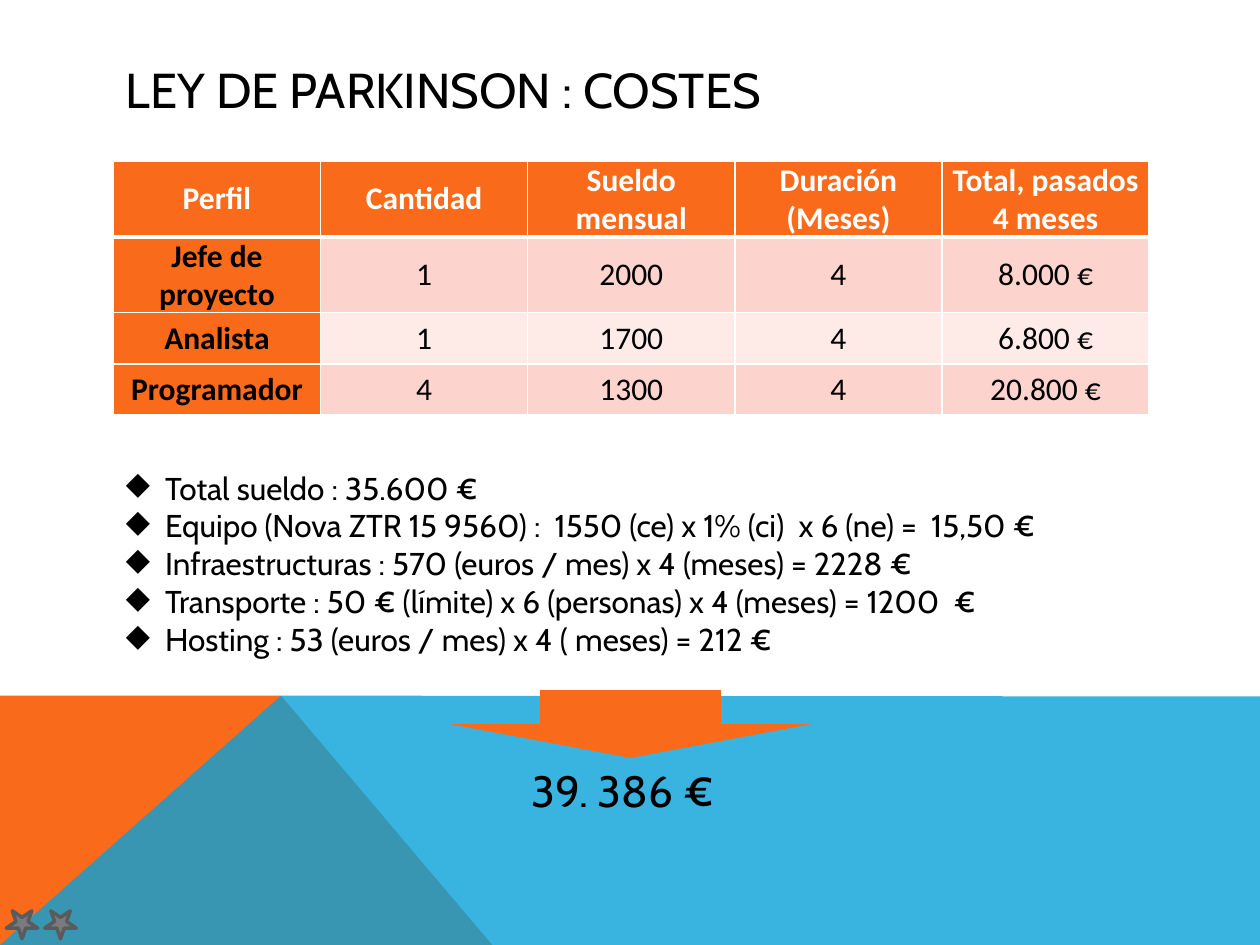
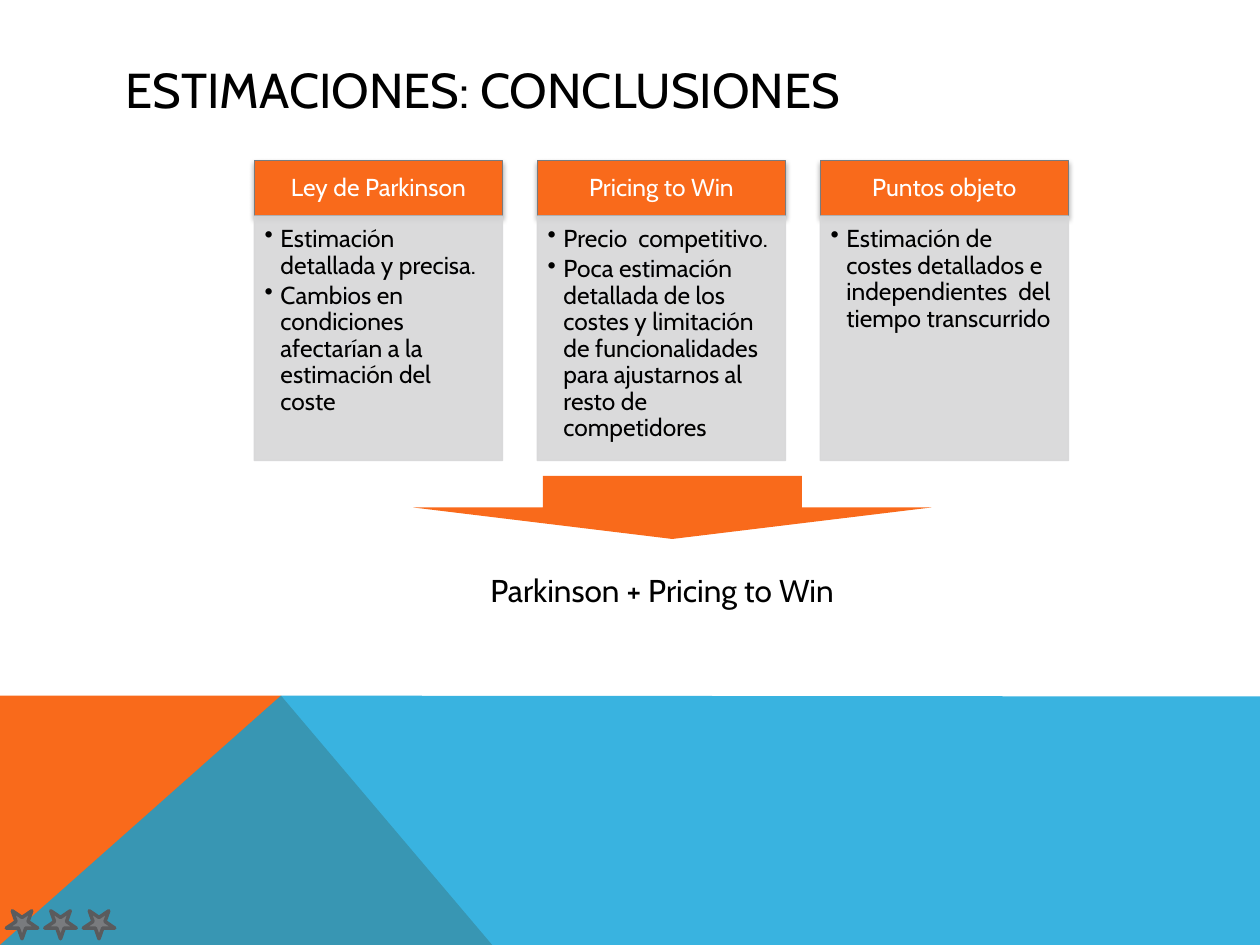
from lxml.etree import SubElement
from pptx import Presentation
from pptx.dml.color import RGBColor
from pptx.enum.shapes import MSO_SHAPE
from pptx.enum.text import MSO_ANCHOR, PP_ALIGN
from pptx.oxml.ns import qn
from pptx.util import Pt

ORANGE = RGBColor(0xF9, 0x6A, 0x1B)
BLUE = RGBColor(0x08, 0xA1, 0xD9)
BLACK = RGBColor(0, 0, 0)
WHITE = RGBColor(0xFF, 0xFF, 0xFF)
GRAY = RGBColor(0x79, 0x7B, 0x7E)
DARK_GRAY = RGBColor(0x5A, 0x5B, 0x5D)
LIGHT_GRAY = RGBColor(0xD7, 0xD7, 0xD8)
PINK = RGBColor(0xFD, 0xD4, 0xCD)
PALE_PINK = RGBColor(0xFE, 0xEB, 0xE8)

TEXT_FONT = "Cabin"
TABLE_FONT = "Calibri"
SLIDE_WIDTH, SLIDE_HEIGHT = 720, 540
CONTENT_LEFT, CONTENT_WIDTH = 64.8, 592
BAND_TOP, BAND_PEAK = 397.5, 160.6

COST_ROWS = [
    ["Perfil", "Cantidad", "Sueldo mensual", "Duración (Meses)", "Total, pasados 4 meses"],
    ["Jefe de proyecto", "1", "2000", "4", "8.000 €"],
    ["Analista", "1", "1700", "4", "6.800 €"],
    ["Programador", "4", "1300", "4", "20.800 €"],
]
COST_ITEMS = [
    "Total sueldo : 35.600 €",
    "Equipo (Nova ZTR 15 9560) :  1550 (ce) x 1% (ci)  x 6 (ne) =  15,50 €",
    "Infraestructuras : 570 (euros / mes) x 4 (meses) = 2228 €",
    "Transporte : 50 € (límite) x 6 (personas) x 4 (meses) = 1200  €",
    "Hosting : 53 (euros / mes) x 4 ( meses) = 212 €",
]
CONCLUSIONS = [
    ("Ley de Parkinson", [
        "Estimación detallada y precisa.",
        "Cambios en condiciones afectarían a la estimación del coste",
    ]),
    ("Pricing to Win", [
        "Precio  competitivo.",
        "Poca estimación detallada de los costes y limitación de funcionalidades "
        "para ajustarnos al resto de competidores",
    ]),
    ("Puntos objeto", [
        "Estimación de costes detallados e independientes  del tiempo transcurrido",
    ]),
]


def style_shape(shape, fill, line=None, line_width=0.75, opacity=100):
    """Apply fill, outline and opacity, without a shadow."""
    shape.shadow.inherit = False
    shape.fill.solid()
    shape.fill.fore_color.rgb = fill
    if line is None:
        shape.line.fill.background()
    else:
        shape.line.color.rgb = line
        shape.line.width = Pt(line_width)
    if opacity < 100:
        for color in list(shape.element.spPr.iter(qn("a:srgbClr"))):
            SubElement(color, qn("a:alpha"), val=str(opacity * 1000))


def add_preset(slide, preset, left, top, width, height, fill, **style):
    shape = slide.shapes.add_shape(preset, Pt(left), Pt(top), Pt(width), Pt(height))
    style_shape(shape, fill, **style)
    return shape


def add_polygon(slide, points, fill, opacity=100):
    start, *others = [(Pt(x), Pt(y)) for x, y in points]
    builder = slide.shapes.build_freeform(*start)
    builder.add_line_segments(others, close=True)
    style_shape(builder.convert_to_shape(), fill, opacity=opacity)


def add_drop_shadow(shape):
    effects = shape.element.spPr.find(qn("a:effectLst"))
    shadow = SubElement(effects, qn("a:outerShdw"), blurRad=str(Pt(3.1)),
                        dist=str(Pt(1.8)), dir="5400000", rotWithShape="0")
    color = SubElement(shadow, qn("a:srgbClr"), val=str(BLACK))
    SubElement(color, qn("a:alpha"), val="35000")


def set_bullet(paragraph, character, indent):
    properties = paragraph._p.get_or_add_pPr()
    properties.set("marL", str(Pt(indent)))
    properties.set("indent", str(-Pt(indent)))
    SubElement(properties, qn("a:buChar"), char=character)


def write_text(frame, lines, size, color=BLACK, alignment=PP_ALIGN.LEFT,
               anchor=MSO_ANCHOR.TOP, font=TEXT_FONT, bold=False, bullet=None,
               indent=0, line_spacing=None, space_after=None):
    frame.vertical_anchor = anchor
    for number, line in enumerate(lines):
        paragraph = frame.add_paragraph() if number else frame.paragraphs[0]
        paragraph.text = line
        paragraph.alignment = alignment
        paragraph.line_spacing = line_spacing
        paragraph.space_after = space_after
        paragraph.font.name = font
        paragraph.font.size = Pt(size)
        paragraph.font.bold = bold
        paragraph.font.color.rgb = color
        if bullet:
            set_bullet(paragraph, bullet, indent)


def add_text(slide, left, top, width, height, lines, size, wrap=True, **style):
    box = slide.shapes.add_textbox(Pt(left), Pt(top), Pt(width), Pt(height))
    box.text_frame.word_wrap = wrap
    write_text(box.text_frame, lines, size, **style)


def set_margins(target, left, top, right, bottom):
    """Set the inner margins of a text frame or a table cell."""
    target.margin_left, target.margin_top = Pt(left), Pt(top)
    target.margin_right, target.margin_bottom = Pt(right), Pt(bottom)


def add_cell_border(cell, side, width):
    line = SubElement(cell._tc.get_or_add_tcPr(), qn(f"a:ln{side}"), w=str(Pt(width)))
    fill = SubElement(line, qn("a:solidFill"))
    SubElement(fill, qn("a:srgbClr"), val=str(WHITE))


def style_cell(cell, text, row, column):
    is_header = row == 0
    is_label = is_header or column == 0
    widths = {"L": 1, "R": 1, "T": 3 if row == 1 else 1, "B": 3 if is_header else 1}
    for side, width in widths.items():
        add_cell_border(cell, side, width)
    cell.fill.solid()
    cell.fill.fore_color.rgb = ORANGE if is_label else PINK if row % 2 else PALE_PINK
    set_margins(cell, 5, 0, 5, 0)
    write_text(cell.text_frame, [text], 18, WHITE if is_header else BLACK,
               PP_ALIGN.CENTER, font=TABLE_FONT, bold=is_label)
    cell.vertical_anchor = MSO_ANCHOR.MIDDLE


def add_cost_table(slide, rows):
    row_height = 29.2
    table = slide.shapes.add_table(
        len(rows), len(rows[0]), Pt(CONTENT_LEFT), Pt(92.2),
        Pt(CONTENT_WIDTH), Pt(row_height * len(rows))).table
    table.first_col = True
    table.horz_banding = False
    for row, texts in enumerate(rows):
        table.rows[row].height = Pt(row_height)
        for column, text in enumerate(texts):
            style_cell(table.cell(row, column), text, row, column)


def add_conclusion_column(slide, left, heading, points):
    width, top, heading_height = 141.8, 91.6, 31.9
    header = add_preset(slide, MSO_SHAPE.RECTANGLE, left, top, width, heading_height,
                        ORANGE, line=GRAY)
    add_drop_shadow(header)
    set_margins(header.text_frame, 7.9, 4.5, 7.9, 4.5)
    write_text(header.text_frame, [heading], 14, WHITE, PP_ALIGN.CENTER,
               MSO_ANCHOR.MIDDLE, line_spacing=0.9)
    body = add_preset(slide, MSO_SHAPE.RECTANGLE, left, top + heading_height, width, 139.7,
                      LIGHT_GRAY, line=LIGHT_GRAY, opacity=90)
    set_margins(body.text_frame, 5.9, 5.9, 7.9, 8.9)
    write_text(body.text_frame, points, 14, bullet="•", indent=9,
               line_spacing=0.9, space_after=Pt(2.1))


def add_down_arrow(slide, left, top, width, height):
    add_preset(slide, MSO_SHAPE.DOWN_ARROW, left, top, width, height, ORANGE)


def add_stars(slide, count):
    for number in range(count):
        star = add_preset(slide, MSO_SHAPE.STAR_5_POINT, 3.6 + 22 * number, 520.5, 18, 16,
                          GRAY, line=DARK_GRAY, line_width=2)
        star.element.spPr.find(qn("a:xfrm")).set("flipV", "1")


def add_base_slide(presentation, title):
    """Add a slide with the shared bottom band and title."""
    slide = presentation.slides.add_slide(presentation.slide_layouts[6])
    peak = (BAND_PEAK, BAND_TOP)
    bottom_left = (0, SLIDE_HEIGHT)
    add_polygon(slide, [bottom_left, (0, BAND_TOP), peak, (281.3, SLIDE_HEIGHT)], ORANGE)
    add_polygon(slide, [bottom_left, peak, (SLIDE_WIDTH, BAND_TOP + 0.5),
                        (SLIDE_WIDTH, SLIDE_HEIGHT)], BLUE, opacity=80)
    add_text(slide, CONTENT_LEFT, 29, CONTENT_WIDTH, 43.2, [title], 28,
             anchor=MSO_ANCHOR.MIDDLE)
    return slide


def add_costs_slide(presentation):
    slide = add_base_slide(presentation, "LEY DE PARKINSON : COSTES")
    add_cost_table(slide, COST_ROWS)
    add_text(slide, CONTENT_LEFT, 264.2, CONTENT_WIDTH, 116.6, COST_ITEMS, 18,
             bullet="◆", indent=22.5)
    add_down_arrow(slide, 257, 394.4, 206.6, 38.7)
    add_text(slide, 296.6, 432.7, 122.4, 37.4, ["39. 386 €"], 25)
    add_stars(slide, 2)


def add_conclusions_slide(presentation):
    slide = add_base_slide(presentation, "ESTIMACIONES: CONCLUSIONES")
    for number, (heading, points) in enumerate(CONCLUSIONS):
        add_conclusion_column(slide, 145.4 + 161.7 * number, heading, points)
    add_down_arrow(slide, 236.2, 272, 296, 36)
    add_text(slide, 270.7, 322.6, 215.3, 28.8, ["Parkinson + Pricing to Win"], 18,
             wrap=False, alignment=PP_ALIGN.CENTER)
    add_stars(slide, 3)


def main():
    presentation = Presentation()
    presentation.slide_width = Pt(SLIDE_WIDTH)
    presentation.slide_height = Pt(SLIDE_HEIGHT)
    add_costs_slide(presentation)
    add_conclusions_slide(presentation)
    presentation.save("out.pptx")


if __name__ == "__main__":
    main()
